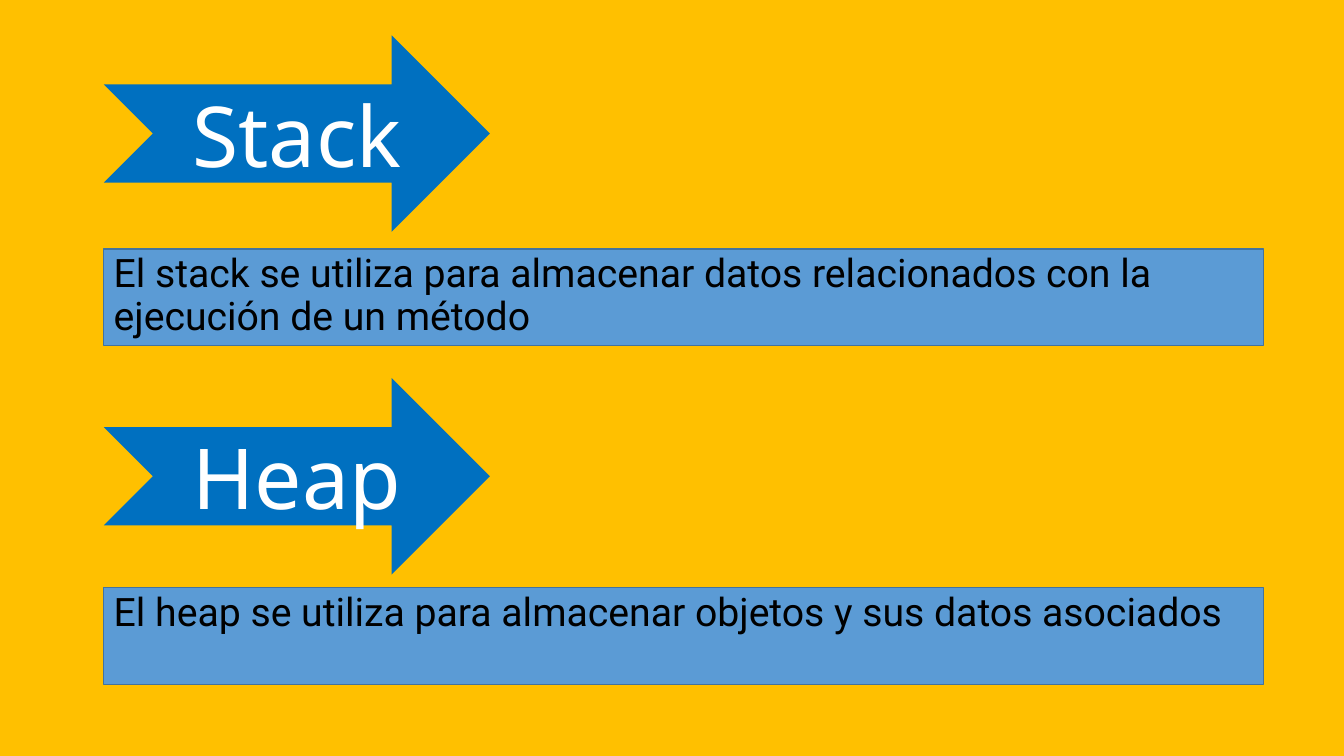
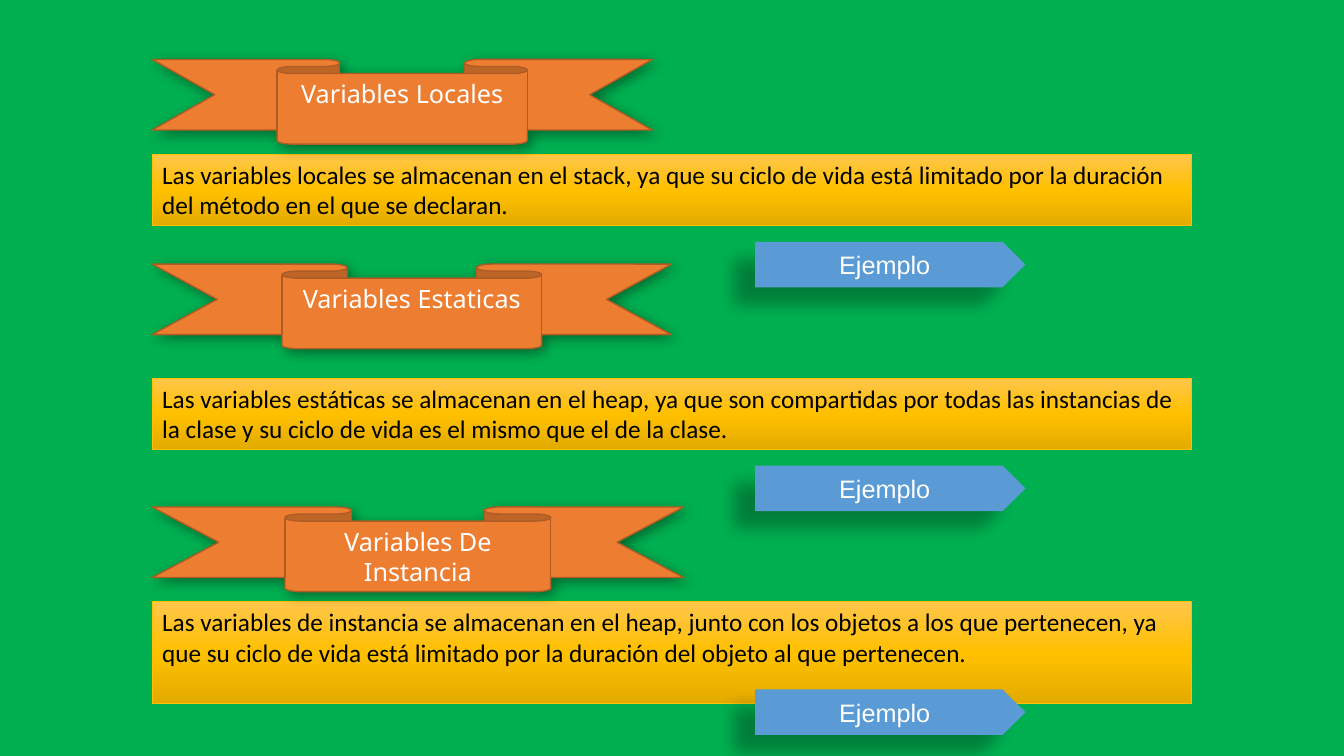
"""Two slides on the stack, the heap and where variables are stored."""
from copy import deepcopy

from lxml import etree
from pptx import Presentation
from pptx.dml.color import RGBColor
from pptx.enum import shapes, text
from pptx.oxml.ns import qn
from pptx.util import Inches, Pt

SHAPE = shapes.MSO_SHAPE
BLUE = "5B9BD5"
GOLD = "FFC000"
GOLD_FADE = ["FFC64B", GOLD, "E3AB00"]
BANNER_SHADOW = (40, 9, 3, 45)
BUTTON_SHADOW = (28, 11.8, 19.7, 141)


def rgb(value):
    return RGBColor.from_string(value)


def add_label(slide, kind, box, words, fill, font, size, color="FFFFFF", line=None,
              line_width=1, centred=True, middle=True, spacing=None, before=0, shadow=None):
    shape = slide.shapes.add_shape(kind, *map(Inches, box))
    shape.shadow.inherit = False
    if isinstance(fill, list):
        shape.fill.gradient()
        shape.fill.gradient_angle = 270
        stops = shape._element.spPr.find(".//" + qn("a:gsLst"))
        stops.append(deepcopy(stops[-1]))
        for index, stop in enumerate(shape.fill.gradient_stops):
            stop.position = index / (len(fill) - 1)
            stop.color.rgb = rgb(fill[index])
    else:
        shape.fill.solid()
        shape.fill.fore_color.rgb = rgb(fill)
    if line:
        shape.line.color.rgb = rgb(line)
        shape.line.width = Pt(line_width)
    else:
        shape.line.fill.background()
    if shadow:
        opacity, blur, distance, angle = shadow
        effects = shape._element.spPr.find(qn("a:effectLst"))
        outer = etree.SubElement(effects, qn("a:outerShdw"), blurRad=str(Pt(blur)),
                                 dist=str(Pt(distance)), dir=str(angle * 60000),
                                 algn="ctr", rotWithShape="0")
        tint = etree.SubElement(outer, qn("a:srgbClr"), val="000000")
        etree.SubElement(tint, qn("a:alpha"), val=str(opacity * 1000))
    frame = shape.text_frame
    frame.word_wrap = True
    frame.vertical_anchor = text.MSO_ANCHOR.MIDDLE if middle else text.MSO_ANCHOR.TOP
    paragraph = frame.paragraphs[0]
    paragraph.alignment = text.PP_ALIGN.CENTER if centred else text.PP_ALIGN.LEFT
    paragraph.line_spacing = spacing
    paragraph.space_before = Pt(before)
    run = paragraph.add_run()
    run.text = words
    run.font.name = font
    run.font.size = Pt(size)
    run.font.color.rgb = rgb(color)


prs = Presentation()
prs.slide_width, prs.slide_height = Inches(13.33), Inches(7.5)
memory, variables = [prs.slides.add_slide(prs.slide_layouts[6]) for _ in range(2)]
for slide, backdrop in [(memory, GOLD), (variables, "00B050")]:
    slide.background.fill.solid()
    slide.background.fill.fore_color.rgb = rgb(backdrop)

areas = [
    ("Stack", 0.35, 2.47,
     "El stack se utiliza para almacenar datos relacionados con la ejecución de un método"),
    ("Heap", 3.75, 5.83,
     "El heap se utiliza para almacenar objetos y sus datos asociados"),
]
for name, arrow_top, definition_top, definition in areas:
    add_label(memory, SHAPE.NOTCHED_RIGHT_ARROW, (1.03, arrow_top, 3.83, 1.95), name,
              "0070C0", "Noto Sans", 60)
    add_label(memory, SHAPE.RECTANGLE, (1.03, definition_top, 11.5, 0.96), definition,
              BLUE, "Roboto", 28, color="000000", line="43739E", centred=False,
              middle=False, spacing=0.9, before=10)

kinds = [
    ("Variables Locales", 0.59, 4.96, 0.71,
     "Las variables locales se almacenan en el stack, ya que su ciclo de vida está limitado "
     "por la duración del método en el que se declaran."),
    ("Variables Estaticas", 2.62, 5.15, 0.71,
     "Las variables estáticas se almacenan en el heap, ya que son compartidas por todas las "
     "instancias de la clase y su ciclo de vida es el mismo que el de la clase."),
    ("Variables De Instancia", 5.03, 5.27, 1.01,
     "Las variables de instancia se almacenan en el heap, junto con los objetos a los que "
     "pertenecen, ya que su ciclo de vida está limitado por la duración del objeto al que "
     "pertenecen."),
]
for row, (name, banner_top, banner_width, height, explanation) in enumerate(kinds):
    explanation_top = 1.53 + 2.22 * row
    add_label(variables, SHAPE.RECTANGLE, (1.51, explanation_top, 10.31, height),
              explanation, GOLD_FADE, "Calibri", 18, color="000000", line=GOLD,
              line_width=0.5, centred=False, middle=False)
    add_label(variables, SHAPE.DOWN_RIBBON, (1.51, banner_top, banner_width, 0.84), name,
              "ED7D31", "Noto Sans", 18, line="AF5C24", middle=False, shadow=BANNER_SHADOW)
    add_label(variables, SHAPE.PENTAGON, (7.49, explanation_top + 0.87, 2.68, 0.45),
              "Ejemplo", BLUE, "Arial", 18, shadow=BUTTON_SHADOW)

prs.save("out.pptx")
